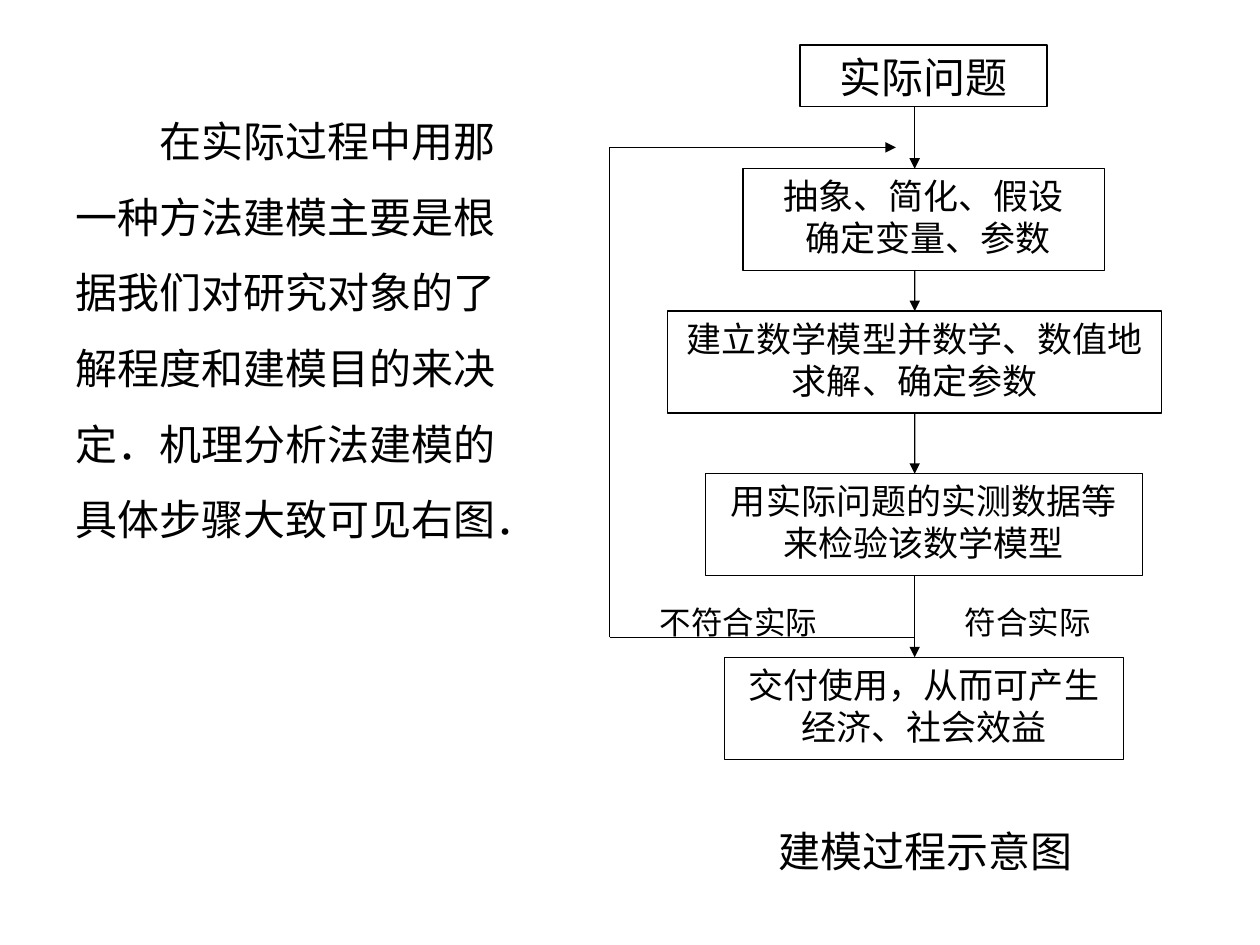
from dataclasses import dataclass
from itertools import pairwise

from lxml.etree import SubElement
from pptx import Presentation
from pptx.dml.color import RGBColor
from pptx.enum.shapes import MSO_CONNECTOR, MSO_SHAPE
from pptx.enum.text import MSO_ANCHOR, PP_ALIGN
from pptx.oxml.ns import qn
from pptx.util import Cm, Pt


@dataclass(frozen=True)
class Theme:
    """Colours, fonts and sizes of the slide."""
    ink: RGBColor = RGBColor(0, 0, 0)
    paper: RGBColor = RGBColor(255, 255, 255)
    font: str = "Times New Roman"
    sans: str = "Noto Sans CJK SC"
    large: Pt = Pt(24)
    mid: Pt = Pt(20)
    small: Pt = Pt(18)
    rule: Pt = Pt(0.75)


THEME = Theme()


def style(frame, size, align, font=THEME.font):
    """Format every paragraph of a text frame."""
    frame.word_wrap = True
    frame.vertical_anchor = MSO_ANCHOR.TOP
    for para in frame.paragraphs:
        para.alignment = align
        for run in para.runs:
            run.font.size = size
            run.font.name = font
            run.font.color.rgb = THEME.ink


def add_text(slide, box, text):
    """Add a plain text box and return its text frame."""
    frame = slide.shapes.add_textbox(*map(Cm, box)).text_frame
    frame.text = text
    style(frame, THEME.large, PP_ALIGN.LEFT)
    return frame


def add_box(slide, box, text, size, edge, align, font=THEME.font):
    """Add a filled rectangle with text."""
    shape = slide.shapes.add_shape(MSO_SHAPE.RECTANGLE, *map(Cm, box))
    shape.shadow.inherit = False
    shape.fill.solid()
    shape.fill.fore_color.rgb = THEME.paper
    shape.line.color.rgb = edge
    shape.line.width = THEME.rule
    shape.text_frame.text = text
    style(shape.text_frame, size, align, font)
    return shape


def add_line(slide, start, end, arrow=False):
    """Add a straight line, with an arrowhead at its end if asked."""
    line = slide.shapes.add_connector(
        MSO_CONNECTOR.STRAIGHT, *map(Cm, (*start, *end)))
    line.line.color.rgb = THEME.ink
    line.line.width = THEME.rule
    if arrow:
        SubElement(line.line._get_or_add_ln(), qn("a:tailEnd"), type="triangle")
    SubElement(line._element.spPr, qn("a:effectLst"))
    return line


def add_essay(slide, box):
    """Place the explanation with an indented first line."""
    frame = add_text(
        slide, box,
        "在实际过程中用那一种方法建模主要是根据我们对研究对象的了解程度"
        "和建模目的来决定．机理分析法建模的具体步骤大致可见右图．")
    para = frame.paragraphs[0]
    para.line_spacing = 1.5
    para._p.get_or_add_pPr().set("indent", str(2 * THEME.large))


def add_flow(slide, box):
    """Place the labels, steps, arrows and feedback loop of the chart."""
    left, top, width, _ = box
    trunk = left + 6.15

    for text, x, wide in (("符合实际", 6.91, 4.22), ("不符合实际", 0.76, 4.98)):
        add_box(slide, (left + x, top + 11.13, wide, 1.24), text,
                THEME.small, THEME.paper, PP_ALIGN.JUSTIFY)

    steps = (
        ("实际问题", 3.84, 0, 4.98, 1.24, THEME.large, THEME.font),
        ("抽象、简化、假设\n 确定变量、参数", 2.69, 2.49, 7.29, 2.06,
         THEME.mid, THEME.sans),
        ("建立数学模型并数学、数值地求解、确定参数", 1.17, 5.36, 9.96, 2.06,
         THEME.mid, THEME.font),
        ("用实际问题的实测数据等来检验该数学模型", 1.93, 8.64, 8.81, 2.06,
         THEME.mid, THEME.font),
        ("交付使用，从而可产生经济、社会效益", 2.31, 12.34, 8.05, 2.06,
         THEME.mid, THEME.font),
    )
    shapes = [
        add_box(slide, (left + x, top + y, wide, high), text,
                size, THEME.ink, PP_ALIGN.CENTER, font)
        for text, x, y, wide, high, size, font in steps]

    arrows = [
        add_line(slide, (trunk, top + a[2] + a[4]), (trunk, top + b[2]), True)
        for a, b in pairwise(steps)]
    arrows[1].end_connect(shapes[2], 0)
    arrows[2].begin_connect(shapes[2], 2)

    low, high = top + 11.94, top + 2.06
    loop = ((trunk, low), (left, low), (left, high), (left + 5.77, high))
    for i, (start, end) in enumerate(pairwise(loop)):
        add_line(slide, start, end, arrow=i == 2)


def main():
    """Build the slide and save it."""
    deck = Presentation()
    deck.slide_width, deck.slide_height = Cm(25.4), Cm(19.05)
    slide = deck.slides.add_slide(deck.slide_layouts[6])
    add_essay(slide, (1.27, 1.7, 9.09, 10.92))
    add_flow(slide, (12.29, 0.91, 11.13, 14.4))
    add_text(slide, (15.44, 16.51, 7.19, 1.27), "建模过程示意图")
    deck.save("out.pptx")


if __name__ == "__main__":
    main()
